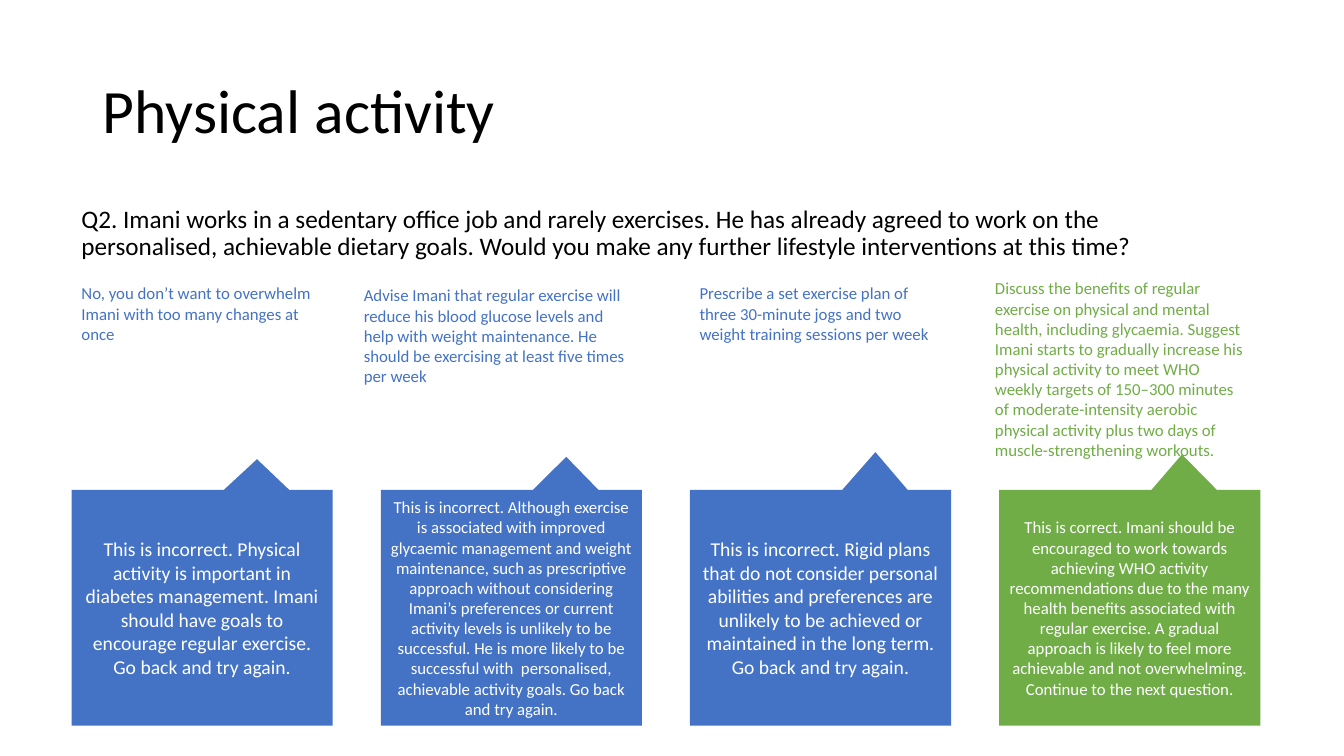
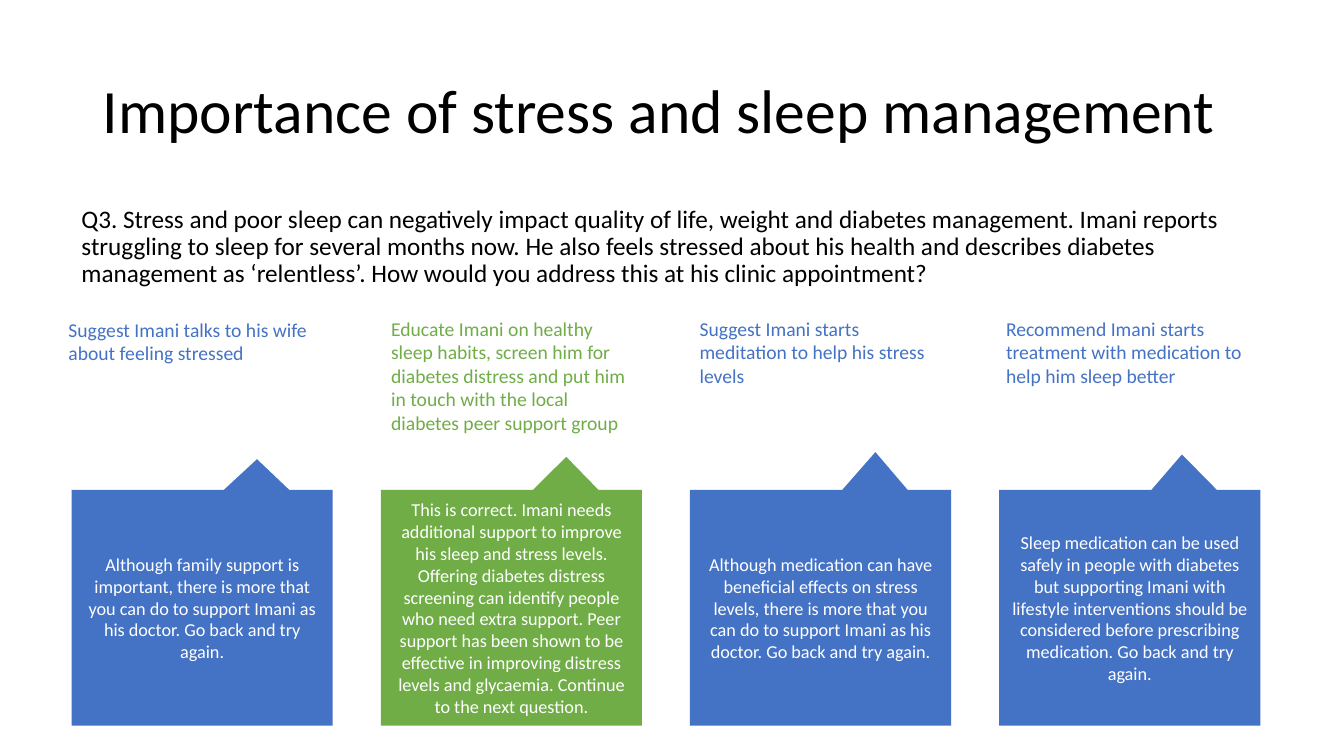
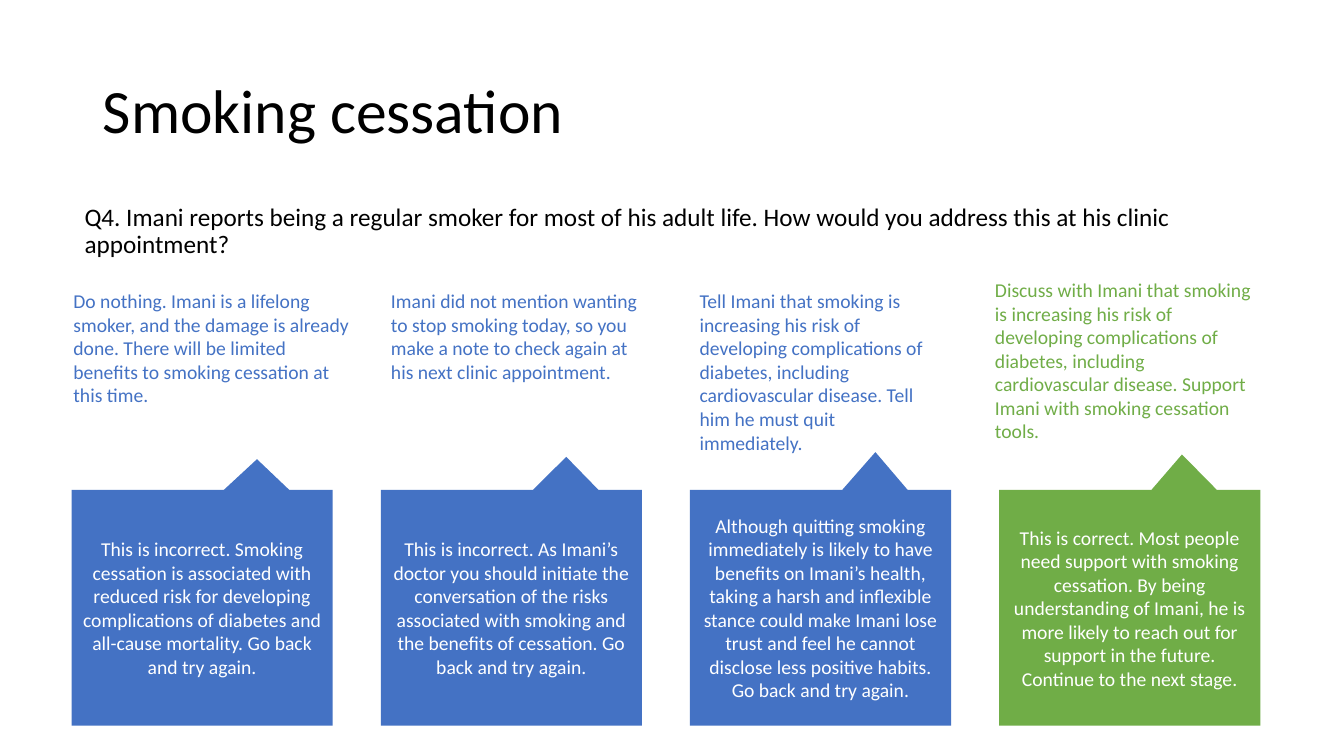
import pptx
import pptx.util
import pptx.dml.color
import pptx.enum.shapes
import pptx.enum.text

Inches = pptx.util.Inches
ALIGN = pptx.enum.text.PP_ALIGN
ANCHOR = pptx.enum.text.MSO_ANCHOR
SIZING = pptx.enum.text.MSO_AUTO_SIZE
CALLOUT = pptx.enum.shapes.MSO_SHAPE.RECTANGULAR_CALLOUT

# Shared look
FONT = "Calibri"
BLACK, WHITE, BLUE, GREEN = "000000", "FFFFFF", "4472C4", "70AD47"
HEAD = {"alignment": ALIGN.LEFT, "line_spacing": 0.9}
ASK = {"alignment": ALIGN.LEFT, "line_spacing": 0.9}
PLAIN = {"alignment": ALIGN.LEFT}
MID = {"alignment": ALIGN.CENTER}

# Row of callouts: equal gaps, each with its own pointer tip
LEFT, LAST, TOP, WIDE, HIGH = 0.71, 9.91, 4.86, 2.59, 2.34
STEP = (LAST - LEFT) / 3
TIPS = [(0.21, -0.63), (0.21, -0.64), (0.21, -0.66), (0.2, -0.65)]

# Each question: right = index of the correct answer, size = callout text,
# answers = (place, option text, feedback, feedback size if it differs)
TASKS = [
    {
        "title": "Physical activity",
        "ask": "Q2. Imani works in a sedentary office job and rarely exercises. "
               "He has already agreed to work on the personalised, achievable "
               "dietary goals. Would you make any further lifestyle "
               "interventions at this time?",
        "box": (0.71, 2, 11.7, 0.71),
        "right": 3, "size": 12, "sizes": (14, 12, 14, 12),
        "answers": [
            ((0.71, 2.76, 2.59, 0.71),
             "No, you don’t want to overwhelm Imani with too many changes "
             "at once",
             "This is incorrect. Physical activity is important in diabetes "
             "management. Imani should have goals to encourage regular "
             "exercise. Go back and try again."),
            ((3.51, 2.78, 2.86, 1.11),
             "Advise Imani that regular exercise will reduce his blood "
             "glucose levels and help with weight maintenance. He should be "
             "exercising at least five times per week",
             "This is incorrect. Although exercise is associated with "
             "improved glycaemic management and weight maintenance, such as "
             "prescriptive approach without considering Imani’s preferences "
             "or current activity levels is unlikely to be successful. He is "
             "more likely to be successful with  personalised, achievable "
             "activity goals. Go back and try again."),
            ((6.84, 2.76, 2.64, 0.71),
             "Prescribe a set exercise plan of three 30-minute jogs and two "
             "weight training sessions per week",
             "This is incorrect. Rigid plans that do not consider personal "
             "abilities and preferences are unlikely to be achieved or "
             "maintained in the long term. Go back and try again."),
            ((9.77, 2.71, 2.73, 1.92),
             "Discuss the benefits of regular exercise on physical and mental "
             "health, including glycaemia. Suggest Imani starts to gradually "
             "increase his physical activity to meet WHO weekly targets of "
             "150–300 minutes of moderate-intensity aerobic physical activity "
             "plus two days of muscle-strengthening workouts.",
             "This is correct. Imani should be encouraged to work towards "
             "achieving WHO activity recommendations due to the many health "
             "benefits associated with regular exercise. A gradual approach "
             "is likely to feel more achievable and not overwhelming. "
             "Continue to the next question."),
        ],
    },
    {
        "title": "Importance of stress and sleep management",
        "ask": "Q3. Stress and poor sleep can negatively impact quality of "
               "life, weight and diabetes management. Imani reports struggling "
               "to sleep for several months now. He also feels stressed about "
               "his health and describes diabetes management as ‘relentless’. "
               "How would you address this at his clinic appointment?",
        "box": (0.71, 2, 11.84, 0.96),
        "right": 1, "size": 14, "sizes": (13, 13, 13, 13),
        "answers": [
            ((0.58, 3.1, 2.72, 0.57),
             "Suggest Imani talks to his wife about feeling stressed",
             "Although family support is important, there is more that you "
             "can do to support Imani as his doctor. Go back and try again."),
            ((3.78, 3.09, 2.59, 1.28),
             "Educate Imani on healthy sleep habits, screen him for diabetes "
             "distress and put him in touch with the local diabetes peer "
             "support group",
             "This is correct. Imani needs additional support to improve his "
             "sleep and stress levels. Offering diabetes distress screening "
             "can identify people who need extra support. Peer support has "
             "been shown to be effective in improving distress levels and "
             "glycaemia. Continue to the next question."),
            ((6.84, 3.09, 2.67, 0.81),
             "Suggest Imani starts meditation to help his stress levels",
             "Although medication can have beneficial effects on stress "
             "levels, there is more that you can do to support Imani as his "
             "doctor. Go back and try again."),
            ((9.88, 3.09, 2.67, 0.81),
             "Recommend Imani starts treatment with medication to help him "
             "sleep better",
             "Sleep medication can be used safely in people with diabetes but "
             "supporting Imani with lifestyle interventions should be "
             "considered before prescribing medication. Go back and try "
             "again."),
        ],
    },
    {
        "title": "Smoking cessation",
        "ask": "Q4. Imani reports being a regular smoker for most of his adult "
               "life. How would you address this at his clinic appointment?",
        "box": (0.74, 1.98, 11.76, 0.73),
        "right": 3, "size": 14, "sizes": (14, 14, 14, 14),
        "answers": [
            ((0.63, 2.82, 2.94, 1.28),
             "Do nothing. Imani is a lifelong smoker, and the damage is "
             "already done. There will be limited benefits to smoking "
             "cessation at this time.",
             "This is incorrect. Smoking cessation is associated with reduced "
             "risk for developing complications of diabetes and all-cause "
             "mortality. Go back and try again."),
            ((3.78, 2.82, 2.7, 1.04),
             "Imani did not mention wanting to stop smoking today, so you "
             "make a note to check again at his next clinic appointment.",
             "This is incorrect. As Imani’s doctor you should initiate the "
             "conversation of the risks associated with smoking and the "
             "benefits of cessation. Go back and try again."),
            ((6.84, 2.82, 2.59, 1.75),
             "Tell Imani that smoking is increasing his risk of developing "
             "complications of diabetes, including cardiovascular disease. "
             "Tell him he must quit immediately.",
             "Although quitting smoking immediately is likely to have "
             "benefits on Imani’s health, taking a harsh and inflexible "
             "stance could make Imani lose trust and feel he cannot disclose "
             "less positive habits. Go back and try again."),
            ((9.77, 2.71, 2.74, 1.75),
             "Discuss with Imani that smoking is increasing his risk of "
             "developing complications of diabetes, including cardiovascular "
             "disease. Support Imani with smoking cessation tools.",
             "This is correct. Most people need support with smoking "
             "cessation. By being understanding of Imani, he is more likely "
             "to reach out for support in the future. Continue to the next "
             "stage."),
        ],
    },
]


def color(code):
    return pptx.dml.color.RGBColor.from_string(code)


def apply(item, style):
    for name, value in style.items():
        setattr(item, name, value)


def write(shape, text, size, code, para, anchor=ANCHOR.TOP,
          sizing=SIZING.NONE):
    """Fill a shape with one formatted paragraph."""
    frame = shape.text_frame
    apply(frame, {"word_wrap": True, "auto_size": sizing,
                  "vertical_anchor": anchor})
    line = frame.paragraphs[0]
    apply(line, para)
    run = line.add_run()
    run.text = text
    apply(run.font, {"name": FONT, "size": pptx.util.Pt(size)})
    run.font.color.rgb = color(code)


def add_title(slide, text):
    title = slide.shapes.title
    apply(title, {"left": Inches(0.92), "top": Inches(0.4),
                  "width": Inches(11.5), "height": Inches(1.45)})
    write(title, text, 44, BLACK, HEAD, ANCHOR.MIDDLE)


def add_text(slide, place, text, size, code, para, sizing=SIZING.NONE):
    box = slide.shapes.add_textbox(*map(Inches, place))
    write(box, text, size, code, para, sizing=sizing)


def add_callout(slide, index, text, size, code):
    place = (LEFT + index * STEP, TOP, WIDE, HIGH)
    shape = slide.shapes.add_shape(CALLOUT, *map(Inches, place))
    shape.shadow.inherit = False
    shape.fill.solid()
    shape.fill.fore_color.rgb = color(code)
    shape.line.fill.background()
    for axis, value in enumerate(TIPS[index]):
        shape.adjustments[axis] = value
    write(shape, text, size, WHITE, MID, ANCHOR.MIDDLE)


def add_task(deck, task):
    slide = deck.slides.add_slide(deck.slide_layouts[5])
    add_title(slide, task["title"])
    add_text(slide, task["box"], task["ask"], 18, BLACK, ASK)
    # Options above, feedback callouts below
    for index, (place, option, reply) in enumerate(task["answers"]):
        code = GREEN if index == task["right"] else BLUE
        add_callout(slide, index, reply, task["sizes"][index], code)
        add_text(slide, place, option, task["size"], code, PLAIN,
                 SIZING.SHAPE_TO_FIT_TEXT)


def main():
    deck = pptx.Presentation()
    apply(deck, {"slide_width": Inches(13.33), "slide_height": Inches(7.5)})
    for task in TASKS:
        add_task(deck, task)
    deck.save("out.pptx")


if __name__ == "__main__":
    main()
